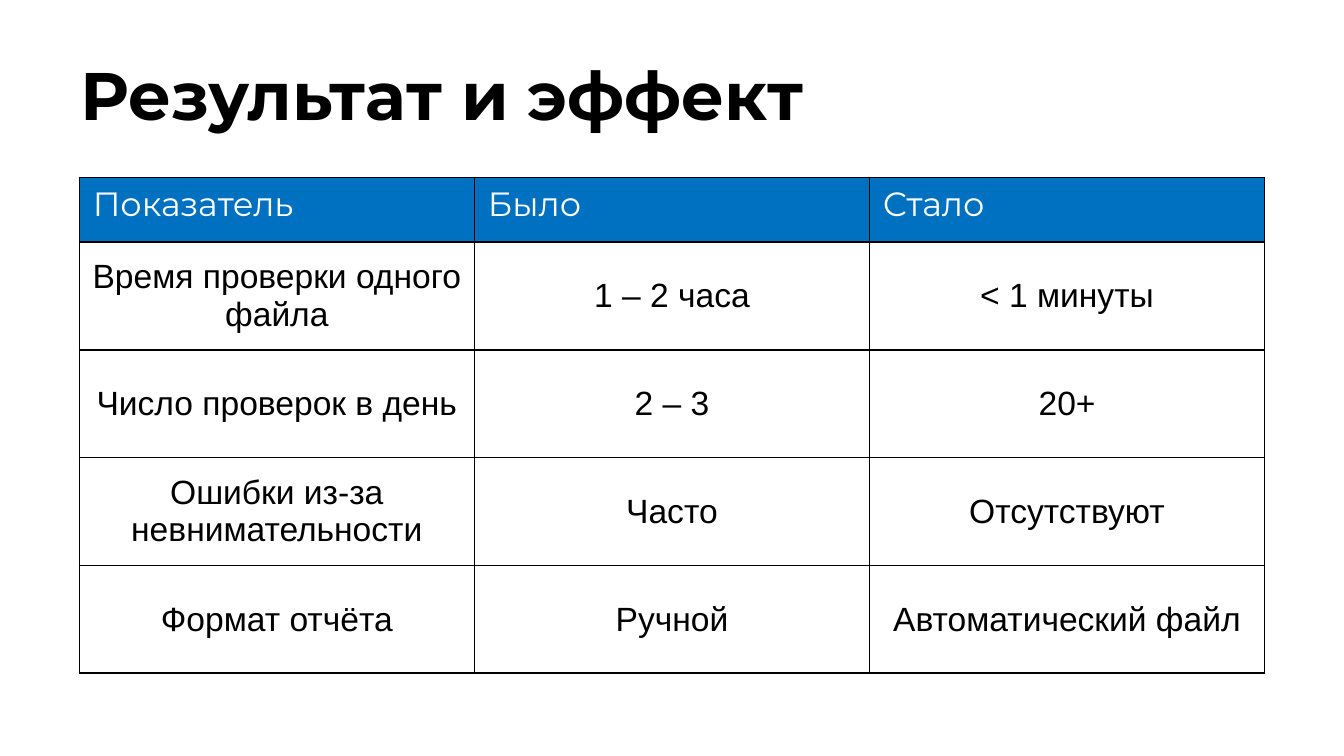
from lxml.etree import SubElement
from pptx import Presentation
from pptx.dml.color import RGBColor
from pptx.enum.text import MSO_ANCHOR as Anchor, PP_ALIGN as Align
from pptx.oxml.ns import qn
from pptx.util import Inches, Pt

HEADERS = ["Показатель", "Было", "Стало"]
ROWS = [
    ["Время проверки одного файла", "1 – 2 часа", "< 1 минуты"],
    ["Число проверок в день", "2 – 3", "20+"],
    ["Ошибки из-за невнимательности", "Часто", "Отсутствуют"],
    ["Формат отчёта", "Ручной", "Автоматический файл"],
]


def color(value):
    """Return the colour for a hex string."""
    return RGBColor.from_string(value)


def write_text(frame, text, font="Arial", size=18, ink="000000", bold=False, align=Align.LEFT):
    """Write one formatted paragraph into a text frame."""
    frame.word_wrap = True
    para = frame.paragraphs[0]
    para.alignment = align
    span = para.add_run()
    span.text = text
    span.font.name = font
    span.font.size = Pt(size)
    span.font.bold = bold
    span.font.color.rgb = color(ink)


def add_title(page, text):
    """Add the slide title."""
    box = page.shapes.add_textbox(Inches(0.5), Inches(0.23), Inches(9), Inches(0.94))
    box.text_frame.vertical_anchor = Anchor.MIDDLE
    write_text(box.text_frame, text, font="Montserrat", size=36, bold=True)


def add_borders(cell, ink="000000", width=1):
    """Draw a solid line on all four sides of a cell."""
    properties = cell._tc.get_or_add_tcPr()
    for side in ("a:lnL", "a:lnR", "a:lnT", "a:lnB"):
        line = SubElement(properties, qn(side), w=str(Pt(width)))
        fill = SubElement(line, qn("a:solidFill"))
        SubElement(fill, qn("a:srgbClr"), val=ink)


def fill_header(cell, text):
    """Format a header cell."""
    add_borders(cell)
    cell.fill.solid()
    cell.fill.fore_color.rgb = color("0070C0")
    write_text(cell.text_frame, text, font="Montserrat", ink="FFFFFF")


def fill_body(cell, text):
    """Format a body cell."""
    add_borders(cell)
    cell.fill.background()
    cell.vertical_anchor = Anchor.MIDDLE
    cell.margin_left = cell.margin_right = Inches(0.08)
    cell.margin_top = cell.margin_bottom = Inches(0.04)
    write_text(cell.text_frame, text, align=Align.CENTER)


def add_results(page, headers, rows):
    """Add the table that compares before and after."""
    width, height, header_height = Inches(8.82), Inches(3.69), Inches(0.48)
    frame = page.shapes.add_table(
        len(rows) + 1, len(headers), Inches(0.59), Inches(1.32), width, height
    )
    table = frame.table
    for column in table.columns:
        column.width = width // len(headers)
    for row in table.rows:
        row.height = (height - header_height) // len(rows)
    table.rows[0].height = header_height
    for column, text in enumerate(headers):
        fill_header(table.cell(0, column), text)
    for index, values in enumerate(rows, start=1):
        for column, text in enumerate(values):
            fill_body(table.cell(index, column), text)


def main():
    """Build the deck and save it."""
    deck = Presentation()
    deck.slide_width = Inches(10)
    deck.slide_height = deck.slide_width * 9 // 16
    page = deck.slides.add_slide(deck.slide_layouts[6])
    add_title(page, "Результат и эффект")
    add_results(page, HEADERS, ROWS)
    deck.save("out.pptx")


if __name__ == "__main__":
    main()
